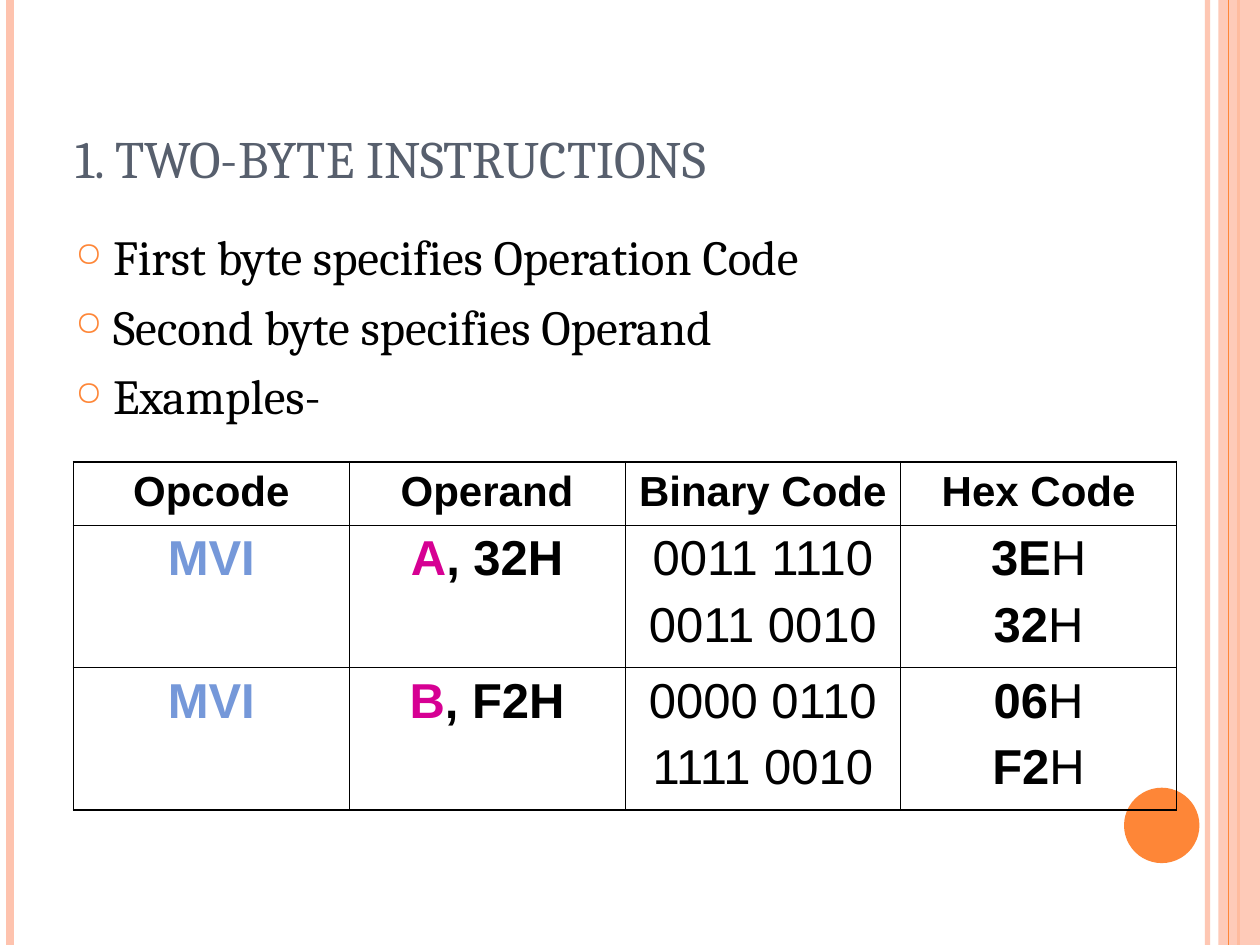
from lxml.etree import SubElement
from pptx import Presentation
from pptx.dml.color import RGBColor
from pptx.enum.shapes import MSO_CONNECTOR, MSO_SHAPE
from pptx.enum.text import MSO_ANCHOR, PP_ALIGN
from pptx.oxml.ns import qn
from pptx.util import Cm, Pt

# Content
HEADING = "1. TWO-BYTE INSTRUCTIONS"
POINTS = [
    "First byte specifies Operation Code",
    "Second byte specifies Operand",
    "Examples-",
]
COLUMNS = ["Opcode", "Operand", "Binary Code", "Hex Code"]
# opcode, register, operand value, binary bytes, hex bytes
EXAMPLES = [
    ("MVI", "A", "32H", ["0011 1110", "0011 0010"], ["3E", "32"]),
    ("MVI", "B", "F2H", ["0000 0110", "1111 0010"], ["06", "F2"]),
]

# Look
BLACK, SLATE, BLUE, MAGENTA = "000000", "575F6D", "7598D9", "D60093"
ORANGE, PEACH = "FE8637", "FEC3AE"
WIDTH, HEIGHT = 25.4, 19.05
# x in cm, colour, width in points, opacity in percent
STRIPES_BEHIND = [(24.34, PEACH, 3, 93), (0.21, PEACH, 4.5, 100), (24.97, ORANGE, 1.5, 100)]
STRIPE_ON_BAND = (24.77, ORANGE, 0.75, 100)
TABLE_LEFT, TABLE_TOP, COLUMN_WIDTH = 1.48, 9.31, 5.56
ROW_HEIGHTS = [1.27, 2.87, 2.87]
OUTER, INNER = 1.08, 0.45


def rgb(value):
    return RGBColor.from_string(value)


def set_opacity(fill, percent):
    color = fill._xPr.find(qn("a:solidFill"))[0]
    SubElement(color, qn("a:alpha"), val=str(percent * 1000))


def add_stripe(x, color, width, opacity):
    stripe = slide.shapes.add_connector(MSO_CONNECTOR.STRAIGHT, Cm(x), 0, Cm(x), Cm(HEIGHT))
    stripe.line.width = Pt(width)
    stripe.line.fill.solid()
    stripe.line.color.rgb = rgb(color)
    if opacity < 100:
        set_opacity(stripe.line.fill, opacity)
    SubElement(stripe._element.spPr, qn("a:effectLst"))


def add_ornament(kind, left, top, width, height, color):
    ornament = slide.shapes.add_shape(kind, Cm(left), Cm(top), Cm(width), Cm(height))
    ornament.shadow.inherit = False
    ornament.fill.solid()
    ornament.fill.fore_color.rgb = rgb(color)
    ornament.line.fill.background()
    return ornament


def add_frame(left, top, width, height, anchor):
    frame = slide.shapes.add_textbox(Cm(left), Cm(top), Cm(width), Cm(height)).text_frame
    frame.word_wrap = True
    frame.vertical_anchor = anchor
    return frame


def add_run(paragraph, text, size, color=BLACK, font="Cambria", bold=False):
    run = paragraph.add_run()
    run.text = text
    run.font.size = Pt(size)
    run.font.name = font
    run.font.bold = bold
    run.font.color.rgb = rgb(color)


def next_paragraph(frame, index):
    return frame.add_paragraph() if index else frame.paragraphs[0]


def add_bullet(paragraph):
    props = paragraph._p.get_or_add_pPr()
    props.set("marL", str(Cm(0.76)))
    props.set("indent", str(-Cm(0.76)))
    SubElement(SubElement(props, qn("a:buClr")), qn("a:srgbClr"), val=ORANGE)
    SubElement(props, qn("a:buSzPct"), val="70000")
    SubElement(props, qn("a:buChar"), char="○")


def set_borders(cell, widths):
    props = cell._tc.get_or_add_tcPr()
    for position, (side, width) in enumerate(widths.items()):
        border = SubElement(props, qn(f"a:{side}"), w=str(Pt(width)))
        SubElement(SubElement(border, qn("a:solidFill")), qn("a:srgbClr"), val=BLACK)
        props.remove(border)
        props.insert(position, border)


def example_cells(opcode, register, value, binary, hex_bytes):
    """Each cell is a list of lines; each line is a list of (text, colour, bold)."""
    return [
        [[(opcode, BLUE, True)]],
        [[(register, MAGENTA, True), (f", {value}", BLACK, True)]],
        [[(byte, BLACK, False)] for byte in binary],
        [[(byte, BLACK, True), ("H", BLACK, False)] for byte in hex_bytes],
    ]


presentation = Presentation()
presentation.slide_width, presentation.slide_height = Cm(WIDTH), Cm(HEIGHT)
slide = presentation.slides.add_slide(presentation.slide_layouts[6])

# Side stripes, band and disc
for stripe_spec in STRIPES_BEHIND:
    add_stripe(*stripe_spec)
band = add_ornament(MSO_SHAPE.RECTANGLE, 24.56, 0, 0.84, HEIGHT, PEACH)
set_opacity(band.fill, 87)
add_stripe(*STRIPE_ON_BAND)
add_ornament(MSO_SHAPE.OVAL, 22.66, 15.88, 1.52, 1.52, ORANGE)

# Heading
heading = add_frame(1.27, 0.76, 22.86, 3.18, MSO_ANCHOR.BOTTOM)
add_run(heading.paragraphs[0], HEADING, 30, SLATE)

# Bullet points
points = add_frame(1.27, 4.45, 22.66, 4.65, MSO_ANCHOR.TOP)
for index, point in enumerate(POINTS):
    paragraph = next_paragraph(points, index)
    paragraph.space_before = Pt(6)
    add_bullet(paragraph)
    add_run(paragraph, point, 28)

# Table of examples
rows = [[[[(name, BLACK, True)]] for name in COLUMNS]]
rows += [example_cells(*example) for example in EXAMPLES]
last_row, last_column = len(rows) - 1, len(COLUMNS) - 1
table = slide.shapes.add_table(
    len(rows), len(COLUMNS), Cm(TABLE_LEFT), Cm(TABLE_TOP),
    Cm(COLUMN_WIDTH * len(COLUMNS)), Cm(sum(ROW_HEIGHTS)),
).table
table.first_row = table.horz_banding = False
for column in table.columns:
    column.width = Cm(COLUMN_WIDTH)
for r, (row, height) in enumerate(zip(rows, ROW_HEIGHTS)):
    table.rows[r].height = Cm(height)
    size, gap = (28, 7) if r else (24, 6)
    for c, lines in enumerate(row):
        cell = table.cell(r, c)
        cell.fill.background()
        set_borders(cell, {
            "lnL": INNER if c else OUTER,
            "lnR": OUTER if c == last_column else INNER,
            "lnT": INNER if r else OUTER,
            "lnB": OUTER if r == last_row else INNER,
        })
        for index, line in enumerate(lines):
            paragraph = next_paragraph(cell.text_frame, index)
            paragraph.alignment = PP_ALIGN.CENTER
            paragraph.space_before = Pt(gap)
            for text, color, bold in line:
                add_run(paragraph, text, size, color, "Arial", bold)

presentation.save("out.pptx")
